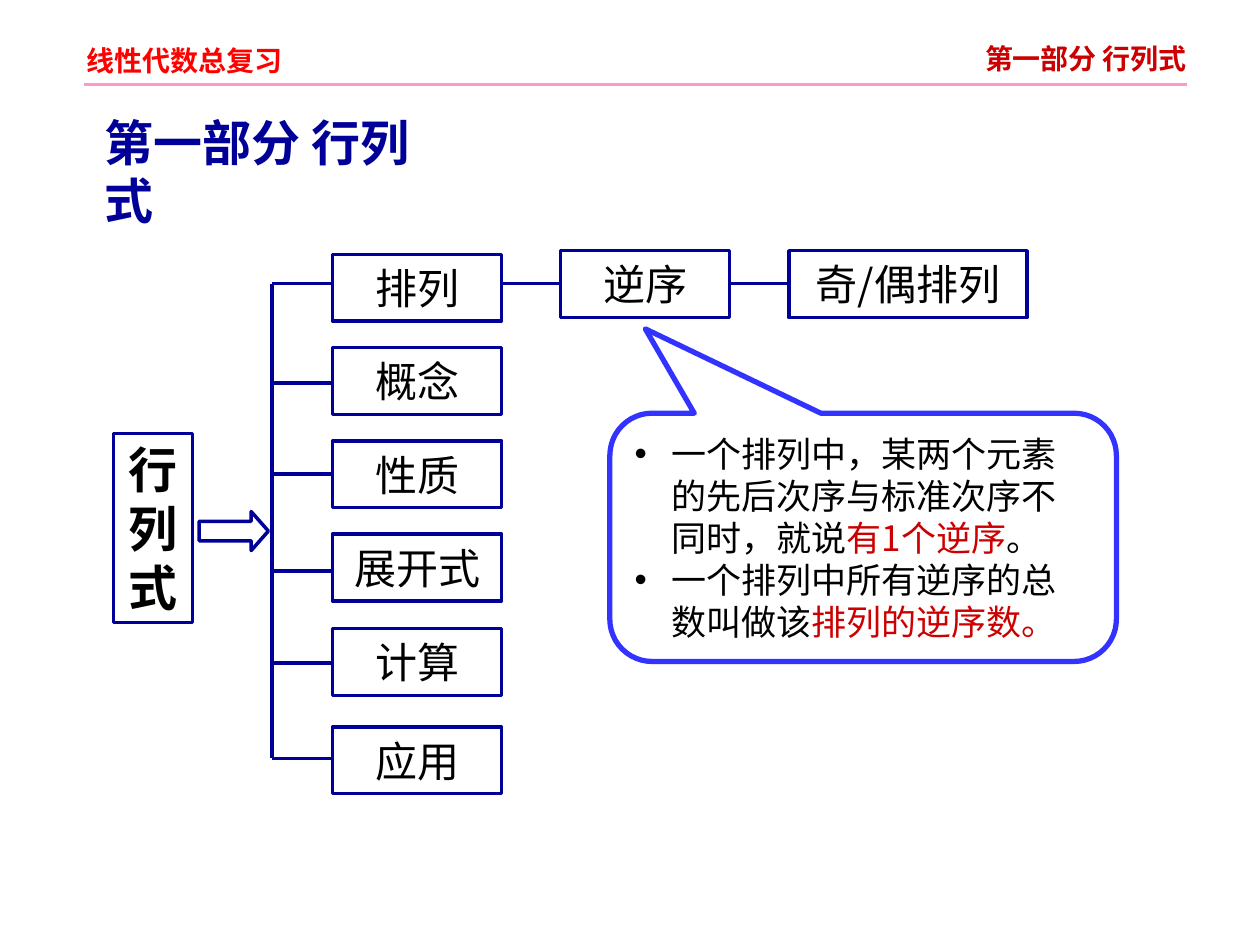
from lxml import etree
from pptx import Presentation
from pptx.dml.color import RGBColor
from pptx.enum.shapes import MSO_CONNECTOR, MSO_SHAPE
from pptx.enum.text import MSO_ANCHOR, PP_ALIGN
from pptx.oxml.ns import qn
from pptx.util import Inches, Pt

RECT, ARROW = MSO_SHAPE.RECTANGLE, MSO_SHAPE.RIGHT_ARROW
CALLOUT = MSO_SHAPE.ROUNDED_RECTANGULAR_CALLOUT
STRAIGHT = MSO_CONNECTOR.STRAIGHT
MIDDLE, CENTER, LEFT = MSO_ANCHOR.MIDDLE, PP_ALIGN.CENTER, PP_ALIGN.LEFT
FONT = "Noto Sans CJK SC"
COLORS = {"navy": "000099", "blue": "3333FF", "red": "FF0000", "dark_red": "CC0000",
          "pink": "FF99CC", "black": "000000", "white": "FFFFFF"}

# Content: headings as (text, left, top, width, height, size, colour)
HEADINGS = [
    ("线性代数总复习", 0.59, 0.3, 1.75, 0.37, 16, "red"),
    ("第一部分 行列式", 7.72, 0.28, 1.8, 0.37, 16, "dark_red"),
    ("第一部分 行列式", 0.73, 0.84, 3, 0.57, 28, "navy"),
]
ROOT = "行列式"
# Branches as (text, box top, line height on the slide)
BRANCHES = [("排列", 2.02, 2.25), ("概念", 2.76, 3.04), ("性质", 3.5, 3.76),
            ("展开式", 4.24, 4.53), ("计算", 4.99, 5.26), ("应用", 5.77, 6.02)]
# Chain to the right of the first branch as (text, width)
CHAIN = [("逆序", 1.34), ("奇/偶排列", 1.89)]
NOTES = [
    [("一个排列中，某两个元素的先后次序与标准次序不同时，就说", "black"),
     ("有1个逆序", "dark_red"), ("。", "black")],
    [("一个排列中所有逆序的总数叫做该", "black"), ("排列的逆序数。", "dark_red")],
]

TRUNK_X, BRANCH_X, BOX_W, BOX_H = 2.16, 2.64, 1.34, 0.53
CHAIN_TOP, CHAIN_GAP = 1.99, 0.47

prs = Presentation()
prs.slide_width, prs.slide_height = Inches(10), Inches(7.5)
s = prs.slides.add_slide(prs.slide_layouts[6])


def rgb(name):
    return RGBColor.from_string(COLORS[name])


def add_run(p, text, size, color="black", bold=False):
    r = p.add_run()
    r.text = text
    r.font.size, r.font.bold, r.font.name = Pt(size), bold, FONT
    r.font.color.rgb = rgb(color)
    etree.SubElement(r.font._element, qn("a:ea"), typeface=FONT)


def add_line(x1, y1, x2, y2, color="navy", width=2):
    line = s.shapes.add_connector(STRAIGHT, *map(Inches, (x1, y1, x2, y2)))
    line.line.color.rgb, line.line.width = rgb(color), Pt(width)
    etree.SubElement(line._element.spPr, qn("a:effectLst"))


def add_outline(kind, x, y, w, h, color="navy", width=2):
    sp = s.shapes.add_shape(kind, *map(Inches, (x, y, w, h)))
    sp.shadow.inherit = False
    sp.fill.background()
    sp.line.color.rgb, sp.line.width = rgb(color), Pt(width)
    sp.text_frame.word_wrap = True
    sp.text_frame.vertical_anchor = MIDDLE
    return sp


def add_box(text, x, y, w, h=BOX_H, size=24, bold=False):
    p = add_outline(RECT, x, y, w, h).text_frame.paragraphs[0]
    p.alignment = CENTER
    add_run(p, text, size, bold=bold)


# Header rule and headings
add_line(0.67, 0.67, 9.42, 0.67, "pink", 1.5)
for text, x, y, w, h, size, color in HEADINGS:
    tf = s.shapes.add_textbox(*map(Inches, (x, y, w, h))).text_frame
    tf.word_wrap = False
    add_run(tf.paragraphs[0], text, size, color, True)

# Root, arrow and branches
add_box(ROOT, 0.9, 3.44, 0.63, 1.5, 28, True)
arrow = add_outline(ARROW, 1.58, 4.06, 0.55, 0.31)
arrow.adjustments[0], arrow.adjustments[1] = 0.5, 0.44
add_line(TRUNK_X, BRANCHES[0][2], TRUNK_X, BRANCHES[-1][2])
for text, top, line_y in BRANCHES:
    add_line(TRUNK_X, line_y, BRANCH_X, line_y)
    add_box(text, BRANCH_X, top, BOX_W)

# Chain from the first branch
x, line_y = BRANCH_X + BOX_W, BRANCHES[0][2]
for text, w in CHAIN:
    add_line(x, line_y, x + CHAIN_GAP, line_y)
    add_box(text, x + CHAIN_GAP, CHAIN_TOP, w)
    x += CHAIN_GAP + w

# Callout with bulleted notes
sp = add_outline(CALLOUT, 4.84, 3.28, 4.02, 1.97, "blue", 3)
sp.fill.solid()
sp.fill.fore_color.rgb = rgb("white")
for i, value in enumerate((-0.43, -0.84, 0.17)):
    sp.adjustments[i] = value
tf = sp.text_frame
for i, note in enumerate(NOTES):
    p = tf.paragraphs[0] if i == 0 else tf.add_paragraph()
    p.alignment = LEFT
    pPr = p._p.get_or_add_pPr()
    pPr.set("marL", str(Inches(0.29)))
    pPr.set("indent", str(Inches(-0.29)))
    bullet_color = etree.SubElement(pPr, qn("a:buClr"))
    etree.SubElement(bullet_color, qn("a:srgbClr"), val=COLORS["black"])
    etree.SubElement(pPr, qn("a:buFont"), typeface="Arial")
    etree.SubElement(pPr, qn("a:buChar"), char="•")
    for text, color in note:
        add_run(p, text, 20, color)

prs.save("out.pptx")
